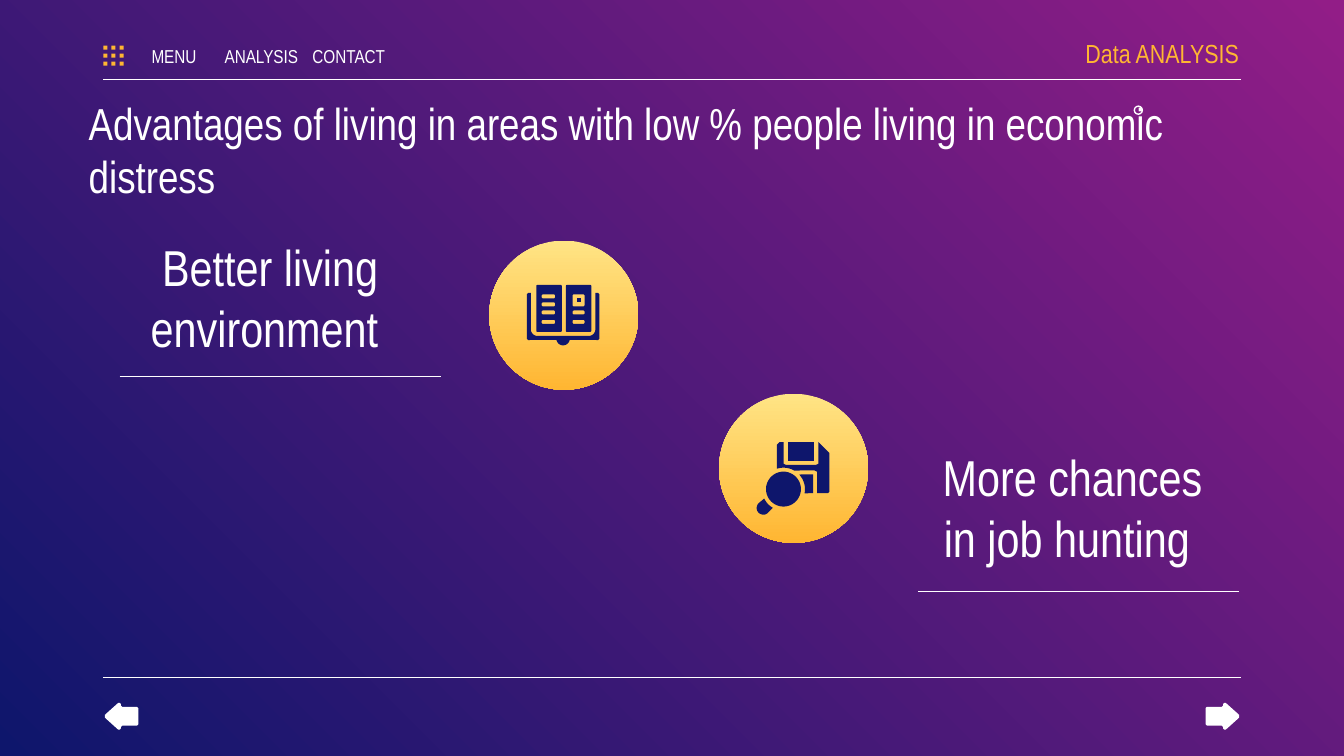
from math import cos, radians, sin

from lxml import etree
from pptx import Presentation
from pptx.dml.color import RGBColor
from pptx.enum.shapes import MSO_CONNECTOR, MSO_SHAPE
from pptx.enum.text import MSO_ANCHOR, MSO_AUTO_SIZE, PP_ALIGN
from pptx.oxml.ns import qn
from pptx.util import Inches, Pt

LEFT, MID, RIGHT = PP_ALIGN.LEFT, PP_ALIGN.CENTER, PP_ALIGN.RIGHT
TOP, CENTER = MSO_ANCHOR.TOP, MSO_ANCHOR.MIDDLE
FIXED = MSO_AUTO_SIZE.NONE
RECT, OVAL = MSO_SHAPE.RECTANGLE, MSO_SHAPE.OVAL
STRAIGHT = MSO_CONNECTOR.STRAIGHT
FONT = "Arial Narrow"
COLORS = {"white": "FFFFFF", "gold": "FFB632", "cream": "FFE485",
          "navy": "0E166C", "plum": "921D87"}


def tint(name):
    """Return the named colour."""
    return RGBColor.from_string(COLORS[name])


def blend(fill, first, last, angle):
    """Fill with a two-colour gradient."""
    fill.gradient()
    fill.gradient_angle = angle
    for stop, name in zip(fill.gradient_stops, (first, last)):
        stop.color.rgb = tint(name)


def write(shape, box, text, size, align, anchor=TOP, color="white", pads=(0.1, 0.1)):
    """Place a text shape and write its one run."""
    shape.left, shape.top, shape.width, shape.height = map(Inches, box)
    frame = shape.text_frame
    frame.word_wrap = True
    frame.auto_size = FIXED
    frame.vertical_anchor = anchor
    frame.margin_left, frame.margin_right = map(Inches, pads)
    frame.margin_top = frame.margin_bottom = Inches(0.1)
    para = frame.paragraphs[0]
    para.alignment = align
    para.space_before = Pt(0)
    run = para.add_run()
    run.text = text
    font = run.font
    font.name, font.size, font.bold = FONT, Pt(size), False
    font.color.rgb = tint(color)


def label(shapes, box, *args):
    """Add a text box."""
    write(shapes.add_textbox(0, 0, 0, 0), box, *args)


def rule(shapes, left, right, y):
    """Draw a thin horizontal line."""
    line = shapes.add_connector(STRAIGHT, *map(Inches, (left, y, right, y)))
    line.line.color.rgb = tint("white")
    line.line.width = Pt(0.75)
    etree.SubElement(line._element.spPr, qn("a:effectLst"))


def preset(shapes, kind, left, top, side):
    """Add a square preset shape without shadow or line."""
    shape = shapes.add_shape(kind, *map(Inches, (left, top, side, side)))
    shape.shadow.inherit = False
    shape.line.fill.background()
    return shape


def disc(shapes, left, top):
    """Add a gold disc."""
    blend(preset(shapes, OVAL, left, top, 1.11).fill, "cream", "gold", 270)


def arc(x, y, radius, start, end, steps=12):
    """Return points along an arc, with angles clockwise from the right."""
    turns = [radians(start + (end - start) * i / steps) for i in range(steps + 1)]
    return [(x + radius * cos(t), y + radius * sin(t)) for t in turns]


def slot(x, y, wide, high, r=0.01):
    """Return the outline of a rounded rectangle."""
    right, low = x + wide - r, y + high - r
    spots = [(x + r, y + r), (right, y + r), (right, low), (x + r, low)]
    return [p for i, (a, b) in enumerate(spots)
            for p in arc(a, b, r, 180 + 90 * i, 270 + 90 * i, 4)]


def cut(shapes, color, *loops):
    """Add a filled outline; further loops are holes in it."""
    loops = [[(Inches(x), Inches(y)) for x, y in loop] for loop in loops]
    pen = shapes.build_freeform(*loops[0][0])
    pen.add_line_segments(loops[0][1:])
    for loop in loops[1:]:
        pen.move_to(*loop[0])
        pen.add_line_segments(loop[1:])
    shape = pen.convert_to_shape()
    shape.shadow.inherit = False
    shape.fill.solid()
    shape.fill.fore_color.rgb = tint(color)
    shape.line.fill.background()


def book(shapes):
    """Draw the open book."""
    cover = [(3.95, 2.18), (3.93, 2.18), (3.92, 2.19), (3.92, 2.52), (3.93, 2.53),
             *arc(4.19, 2.52, 0.05, 170, 10), (4.45, 2.53), (4.46, 2.52),
             (4.46, 2.19), (4.45, 2.18), (4.43, 2.18),
             *arc(4.38, 2.45, 0.05, 0, 90), *arc(4, 2.45, 0.05, 90, 180)]
    cut(shapes, "navy", cover)
    rows = (2.19, 2.25, 2.31, 2.38)
    cut(shapes, "navy", slot(3.99, 2.12, 0.19, 0.35),
        *[slot(4.03, y, 0.1, 0.03) for y in rows])
    cut(shapes, "navy", slot(4.21, 2.12, 0.19, 0.35), slot(4.26, 2.19, 0.09, 0.09),
        *[slot(4.26, y, 0.09, 0.03) for y in rows[2:]])
    cut(shapes, "navy", [(4.29, 2.22), (4.32, 2.22), (4.32, 2.25), (4.29, 2.25)])


def search(shapes):
    """Draw the floppy disk under a magnifier."""
    x, y = 5.83, 3.64
    cut(shapes, "navy", [(5.86, 3.29), (6.06, 3.29), (6.06, 3.43), (5.86, 3.43)])
    cut(shapes, "navy", [*arc(x, y, 0.16, -43, 11), (6.05, 3.67), (6.05, 3.53)])
    cut(shapes, "navy", [
        (5.83, 3.29), (5.8, 3.29), (5.78, 3.31), *arc(x, y, 0.16, -108, -60),
        (6.06, 3.5), (6.08, 3.51), (6.08, 3.67), (6.16, 3.67), (6.17, 3.66),
        (6.17, 3.37), (6.1, 3.3), (6.09, 3.29), (6.09, 3.45), (6.07, 3.46),
        (5.85, 3.46), (5.83, 3.45)])
    cut(shapes, "navy", [*arc(x, y, 0.16, 120, 154), *arc(5.68, 3.78, 0.05, 225, 55)])
    cut(shapes, "navy", arc(x, y, 0.13, 0, 360, 48))


def arrows(shapes):
    """Draw the mirrored back and next arrows."""
    half = [(8.97, 5.27), (8.98, 5.26), (9.09, 5.26), (9.1, 5.25), (9.1, 5.24),
            (9.11, 5.23), (9.12, 5.23), (9.22, 5.32)]
    tip = half + [(x, 10.66 - y) for x, y in reversed(half)]
    cut(shapes, "white", tip)
    cut(shapes, "white", [(10 - x, y) for x, y in tip])


def header(shapes):
    """Draw the menu bar."""
    grid = shapes.add_group_shape().shapes
    for i in range(9):
        dot = preset(grid, RECT, 0.77 + 0.06 * (i // 3), 0.34 + 0.06 * (i % 3), 0.03)
        dot.fill.solid()
        dot.fill.fore_color.rgb = tint("gold")
    for i, word in enumerate(("MENU", "ANALYSIS", "CONTACT")):
        label(shapes, (1.01 + 0.65 * i, 0.3, 0.57, 0.23), word, 10, MID,
              CENTER, "white", (0, 0))
    label(shapes, (7.72, 0.23, 1.5, 0.33), "Data ANALYSIS", 14, RIGHT,
          CENTER, "gold", (0.1, 0))


def main():
    """Build the slide."""
    deck = Presentation()
    deck.slide_width, deck.slide_height = Inches(10), Inches(10) * 9 // 16
    slide = deck.slides.add_slide(deck.slide_layouts[4])
    blend(slide.background.fill, "plum", "navy", 225)
    shapes = slide.shapes
    title, better, spare, more, extra = slide.placeholders
    for item in (spare, extra):
        item._element.getparent().remove(item._element)
    write(title, (0.56, 0.61, 8.66, 0.66),
          "Advantages of living in areas with low % people living in economic distress",
          24, LEFT)
    write(better, (0.79, 1.66, 2.44, 1.11), "Better living environment ", 27, MID)
    write(more, (6.76, 3.22, 2.44, 0.91), "More chances in job hunting ", 27, MID)
    for ends in ((0.77, 9.23, 0.59), (0.77, 9.23, 5.04),
                 (0.89, 3.28, 2.8), (6.83, 9.22, 4.4)):
        rule(shapes, *ends)
    disc(shapes, 5.35, 2.93)
    disc(shapes, 3.64, 1.79)
    search(shapes.add_group_shape().shapes)
    book(shapes.add_group_shape().shapes)
    arrows(shapes)
    header(shapes)
    ring = preset(shapes, OVAL, 8.44, 0.79, 0.06)
    ring.fill.background()
    ring.line.color.rgb = tint("white")
    ring.line.width = Pt(0.75)
    deck.save("out.pptx")


if __name__ == "__main__":
    main()
